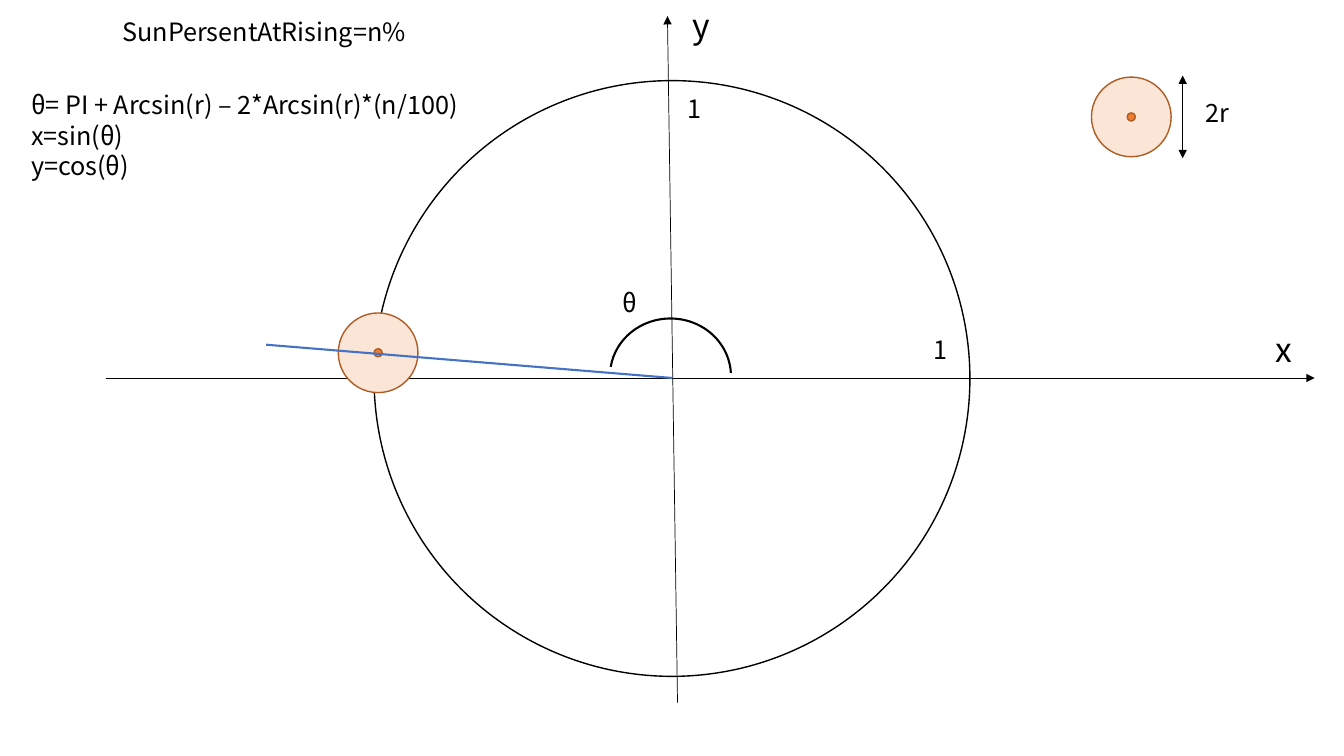
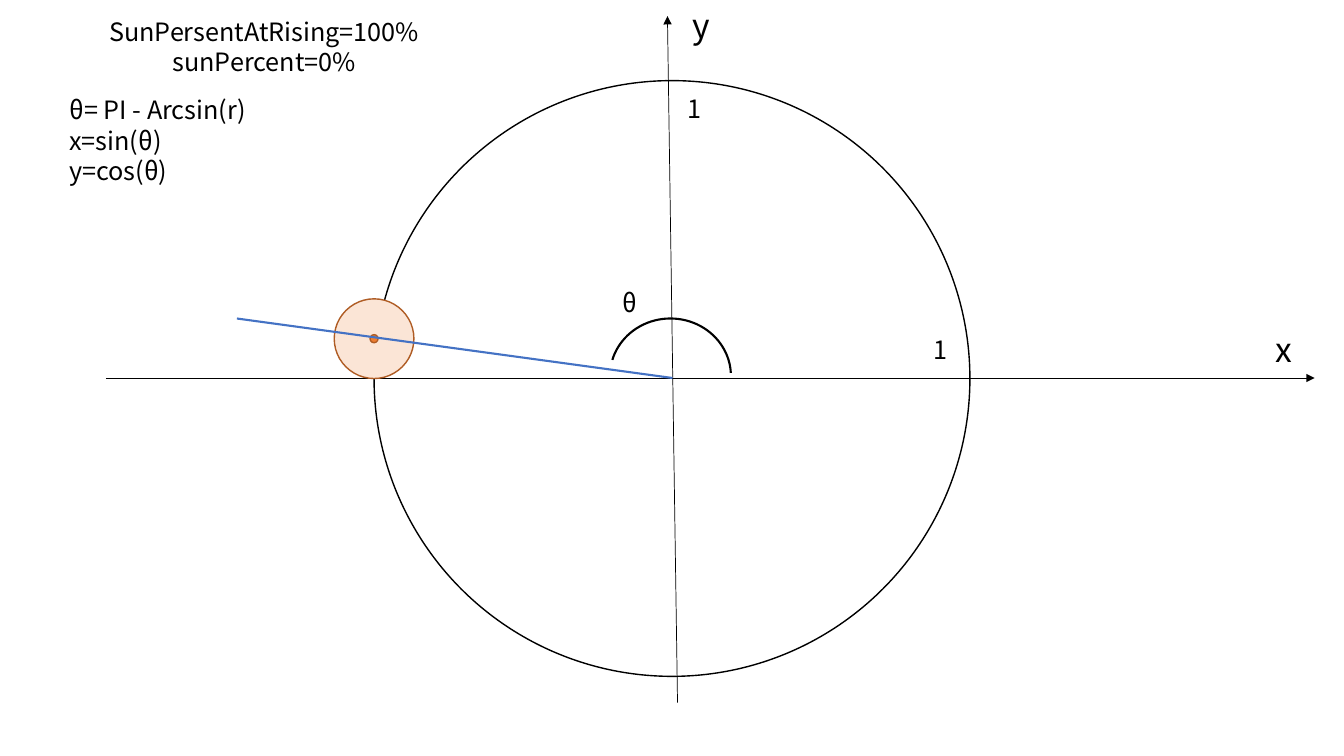
from dataclasses import dataclass
from typing import Optional

from lxml.etree import SubElement
from pptx import Presentation
from pptx.dml.color import RGBColor
from pptx.enum.shapes import MSO_CONNECTOR, MSO_SHAPE
from pptx.enum.text import MSO_ANCHOR, MSO_AUTO_SIZE, PP_ALIGN
from pptx.oxml.ns import qn
from pptx.shapes.autoshape import Shape
from pptx.slide import Slide
from pptx.text.text import TextFrame
from pptx.util import Inches, Pt

BLACK = RGBColor(0x00, 0x00, 0x00)
SUN_FILL = RGBColor(0xFB, 0xE5, 0xD6)
SUN_CORE = RGBColor(0xED, 0x7D, 0x31)
SUN_EDGE = RGBColor(0xAF, 0x5C, 0x24)
RAY_BLUE = RGBColor(0x44, 0x72, 0xC4)

FONT = "Noto Sans CJK JP"
LINE_PITCH = 1.2
SUN_SIZE = 0.79
CORE_SIZE = 0.08
ORIGIN = (6.67, 3.75)
ARC_END = 214.289

Point = tuple[float, float]


@dataclass(frozen=True)
class Box:
    left: float
    top: float
    width: float
    height: float

    def lengths(self) -> tuple[Inches, Inches, Inches, Inches]:
        return (Inches(self.left), Inches(self.top),
                Inches(self.width), Inches(self.height))


@dataclass(frozen=True)
class Label:
    lines: tuple[str, ...]
    box: Box
    size: int = 18


@dataclass(frozen=True)
class Line:
    start: Point
    end: Point
    color: RGBColor = BLACK
    width: float = 0.5
    arrows: tuple[str, ...] = ()


@dataclass(frozen=True)
class Diagram:
    title: Label
    formulas: Label
    sun_center: Point
    ray_end: Point
    arc_start: float


UNIT_CIRCLE = Box(3.71, 0.8, 5.91, 5.91)
ANGLE_ARC = Box(6.05, 3.16, 1.2, 1.14)
X_AXIS = Line((1.05, 3.75), (13.04, 3.75), arrows=("tailEnd",))
Y_AXIS = Line((6.62, 0.16), (6.72, 6.97), arrows=("headEnd",))
AXIS_LABELS = (
    Label(("y",), Box(6.77, 0, 0.65, 0.5), 24),
    Label(("x",), Box(12.55, 3.21, 0.89, 0.5), 24),
    Label(("1",), Box(9.16, 3.27, 0.54, 0.4)),
    Label(("1",), Box(6.72, 0.88, 0.54, 0.4)),
    Label(("θ",), Box(6.08, 2.8, 0.61, 0.4)),
)
COORDINATES = ("x=sin(θ)", "y=cos(θ)")

PARTIAL_SUNRISE = Diagram(
    title=Label(("SunPersentAtRising=n%",), Box(0.22, 0.11, 4.8, 0.4)),
    formulas=Label(("θ= PI + Arcsin(r) – 2*Arcsin(r)*(n/100)", *COORDINATES),
                   Box(0.21, 0.84, 5.8, 1.31)),
    sun_center=(3.75, 3.5),
    ray_end=(2.64, 3.42),
    arc_start=113.186,
)
FULL_SUNRISE = Diagram(
    title=Label(("SunPersentAtRising=100%", "sunPercent=0%"),
                Box(0.22, 0.11, 4.8, 0.71)),
    formulas=Label(("θ= PI - Arcsin(r)", *COORDINATES),
                   Box(0.59, 0.89, 2.44, 1.31)),
    sun_center=(3.71, 3.36),
    ray_end=(2.35, 3.16),
    arc_start=117.251,
)


def write_lines(tf: TextFrame, label: Label, align: PP_ALIGN) -> None:
    tf.word_wrap = True
    tf.auto_size = MSO_AUTO_SIZE.NONE
    tf.vertical_anchor = MSO_ANCHOR.TOP
    tf.text = "\n".join(label.lines)
    for p in tf.paragraphs:
        p.alignment = align
        p.line_spacing = Pt(label.size * LINE_PITCH)
        p.space_before = p.space_after = Pt(0)
        p.font.name = FONT
        p.font.size = Pt(label.size)
        p.font.color.rgb = BLACK


def add_label(s: Slide, label: Label) -> None:
    sp = s.shapes.add_textbox(*label.box.lengths())
    write_lines(sp.text_frame, label, PP_ALIGN.LEFT)


def set_title(s: Slide, label: Label) -> None:
    sp = s.shapes.title
    sp.left, sp.top, sp.width, sp.height = label.box.lengths()
    write_lines(sp.text_frame, label, PP_ALIGN.CENTER)


def add_outline(shapes, kind: MSO_SHAPE, box: Box, color: RGBColor = BLACK,
                width: float = 1, fill: Optional[RGBColor] = None) -> Shape:
    sp = shapes.add_shape(kind, *box.lengths())
    sp.shadow.inherit = False
    if fill is None:
        sp.fill.background()
    else:
        sp.fill.solid()
        sp.fill.fore_color.rgb = fill
    sp.line.color.rgb = color
    sp.line.width = Pt(width)
    return sp


def add_line(s: Slide, line: Line) -> None:
    ends = (Inches(v) for v in (*line.start, *line.end))
    cxn = s.shapes.add_connector(MSO_CONNECTOR.STRAIGHT, *ends)
    cxn.line.color.rgb = line.color
    cxn.line.width = Pt(line.width)
    sp_pr = cxn.line._get_or_add_ln().getparent()
    for arrow in line.arrows:
        SubElement(sp_pr.find(qn("a:ln")), qn(f"a:{arrow}"), type="triangle")
    SubElement(sp_pr, qn("a:effectLst"))


def add_sun(s: Slide, center: Point) -> None:
    group = s.shapes.add_group_shape()
    for size, fill in ((SUN_SIZE, SUN_FILL), (CORE_SIZE, SUN_CORE)):
        box = Box(center[0] - size / 2, center[1] - size / 2, size, size)
        add_outline(group.shapes, MSO_SHAPE.OVAL, box, SUN_EDGE, fill=fill)


def add_diagram(prs: Presentation, diagram: Diagram) -> Slide:
    s = prs.slides.add_slide(prs.slide_layouts[5])
    set_title(s, diagram.title)
    add_outline(s.shapes, MSO_SHAPE.OVAL, UNIT_CIRCLE)
    add_line(s, X_AXIS)
    add_sun(s, diagram.sun_center)
    add_line(s, Y_AXIS)
    add_line(s, Line(ORIGIN, diagram.ray_end, RAY_BLUE, 1.5))
    arc = add_outline(s.shapes, MSO_SHAPE.ARC, ANGLE_ARC, width=1.5)
    arc.adjustments[0] = diagram.arc_start
    arc.adjustments[1] = ARC_END
    for label in (diagram.formulas, *AXIS_LABELS):
        add_label(s, label)
    return s


def add_diameter_key(s: Slide) -> None:
    add_sun(s, (11.22, 1.16))
    add_line(s, Line((11.73, 0.75), (11.73, 1.57),
                     arrows=("headEnd", "tailEnd")))
    add_label(s, Label(("2r",), Box(11.86, 0.92, 0.68, 0.4)))


prs = Presentation()
prs.slide_width, prs.slide_height = Inches(13.33), Inches(7.5)
add_diameter_key(add_diagram(prs, PARTIAL_SUNRISE))
add_diagram(prs, FULL_SUNRISE)
prs.save("out.pptx")
